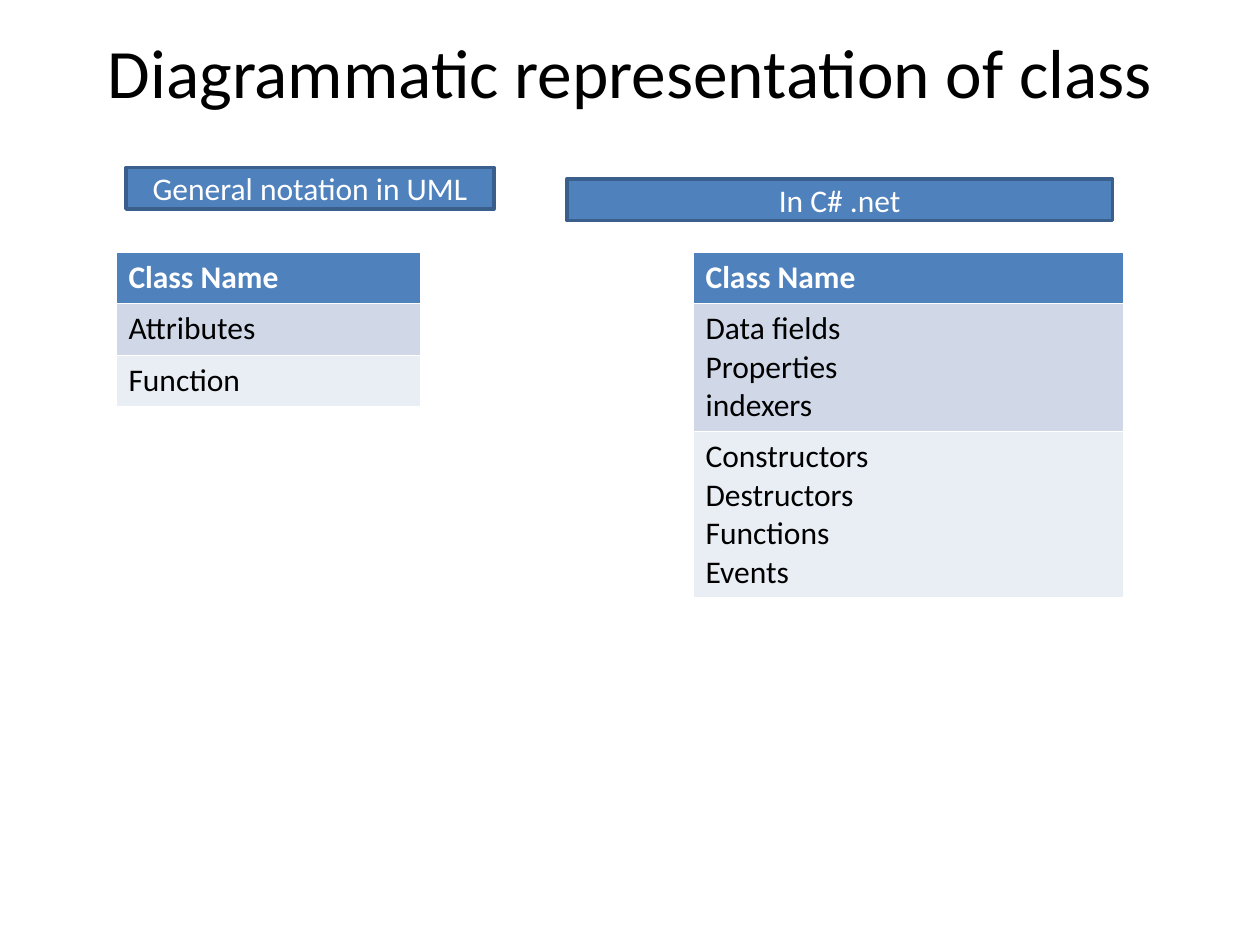
from pptx import Presentation
from pptx.dml.color import RGBColor
from pptx.enum.shapes import MSO_SHAPE
from pptx.enum.text import MSO_ANCHOR, MSO_AUTO_SIZE, PP_ALIGN
from pptx.util import Inches, Pt

WHITE = RGBColor(0xFF, 0xFF, 0xFF)
BLACK = RGBColor(0x00, 0x00, 0x00)
BLUE = RGBColor(0x4F, 0x81, 0xBD)
DARK_BLUE = RGBColor(0x3A, 0x5F, 0x8C)
ROW_FILLS = [BLUE, RGBColor(0xD0, 0xD8, 0xE8), RGBColor(0xE9, 0xED, 0xF4)]

# Content: boxes are left, top, width (inches)
TITLE = "Diagrammatic representation of class"
NOTATIONS = [
    {"label": "General notation in UML", "label_box": (1, 1.33, 2.92),
     "table_box": (0.92, 2, 2.42),
     "rows": [["Class Name"], ["Attributes"], ["Function"]]},
    {"label": "In C# .net", "label_box": (4.5, 1.42, 4.33),
     "table_box": (5.5, 2, 3.42),
     "rows": [["Class Name"],
              ["Data fields", "Properties", "indexers"],
              ["Constructors", "Destructors", "Functions", "Events"]]},
]
LABEL_HEIGHT = 0.33
LINE_HEIGHT, CELL_PADDING = 0.3, 0.11

TITLE_FONT = {"name": "Calibri", "size": Pt(39.6), "bold": False}
BODY_FONT = {"name": "Calibri", "size": Pt(18), "bold": False}
HEADER_FONT = {**BODY_FONT, "bold": True}


def write(text_frame, lines, font_format, color, alignment=None):
    text_frame.text = "\n".join(lines)
    for paragraph in text_frame.paragraphs:
        paragraph.alignment = alignment
        for name, value in font_format.items():
            setattr(paragraph.font, name, value)
        paragraph.font.color.rgb = color


def add_label(slide, text, box):
    left, top, width = map(Inches, box)
    shape = slide.shapes.add_shape(
        MSO_SHAPE.RECTANGLE, left, top, width, Inches(LABEL_HEIGHT))
    shape.shadow.inherit = False
    shape.fill.solid()
    shape.fill.fore_color.rgb = BLUE
    shape.line.color.rgb = DARK_BLUE
    shape.line.width = Pt(2)
    shape.text_frame.vertical_anchor = MSO_ANCHOR.MIDDLE
    write(shape.text_frame, [text], BODY_FONT, WHITE, PP_ALIGN.CENTER)


def add_class_table(slide, rows, box):
    heights = [Inches(CELL_PADDING + LINE_HEIGHT * len(lines)) for lines in rows]
    left, top, width = map(Inches, box)
    table = slide.shapes.add_table(
        len(rows), 1, left, top, width, sum(heights)).table
    for index, (lines, height, fill) in enumerate(zip(rows, heights, ROW_FILLS)):
        table.rows[index].height = height
        cell = table.cell(index, 0)
        cell.fill.solid()
        cell.fill.fore_color.rgb = fill
        is_header = index == 0
        write(cell.text_frame, lines, HEADER_FONT if is_header else BODY_FONT,
              WHITE if is_header else BLACK)


presentation = Presentation()
presentation.slide_width, presentation.slide_height = Inches(10), Inches(7.5)
slide = presentation.slides.add_slide(presentation.slide_layouts[5])

# Title
title = slide.shapes.title
title.left, title.top, title.width, title.height = map(Inches, (0.5, 0.3, 9, 0.53))
title.text_frame.auto_size = MSO_AUTO_SIZE.NONE
title.text_frame.vertical_anchor = MSO_ANCHOR.MIDDLE
write(title.text_frame, [TITLE], TITLE_FONT, BLACK, PP_ALIGN.CENTER)

# Class tables with their labels
for notation in NOTATIONS:
    add_class_table(slide, notation["rows"], notation["table_box"])
    add_label(slide, notation["label"], notation["label_box"])

presentation.save("out.pptx")
